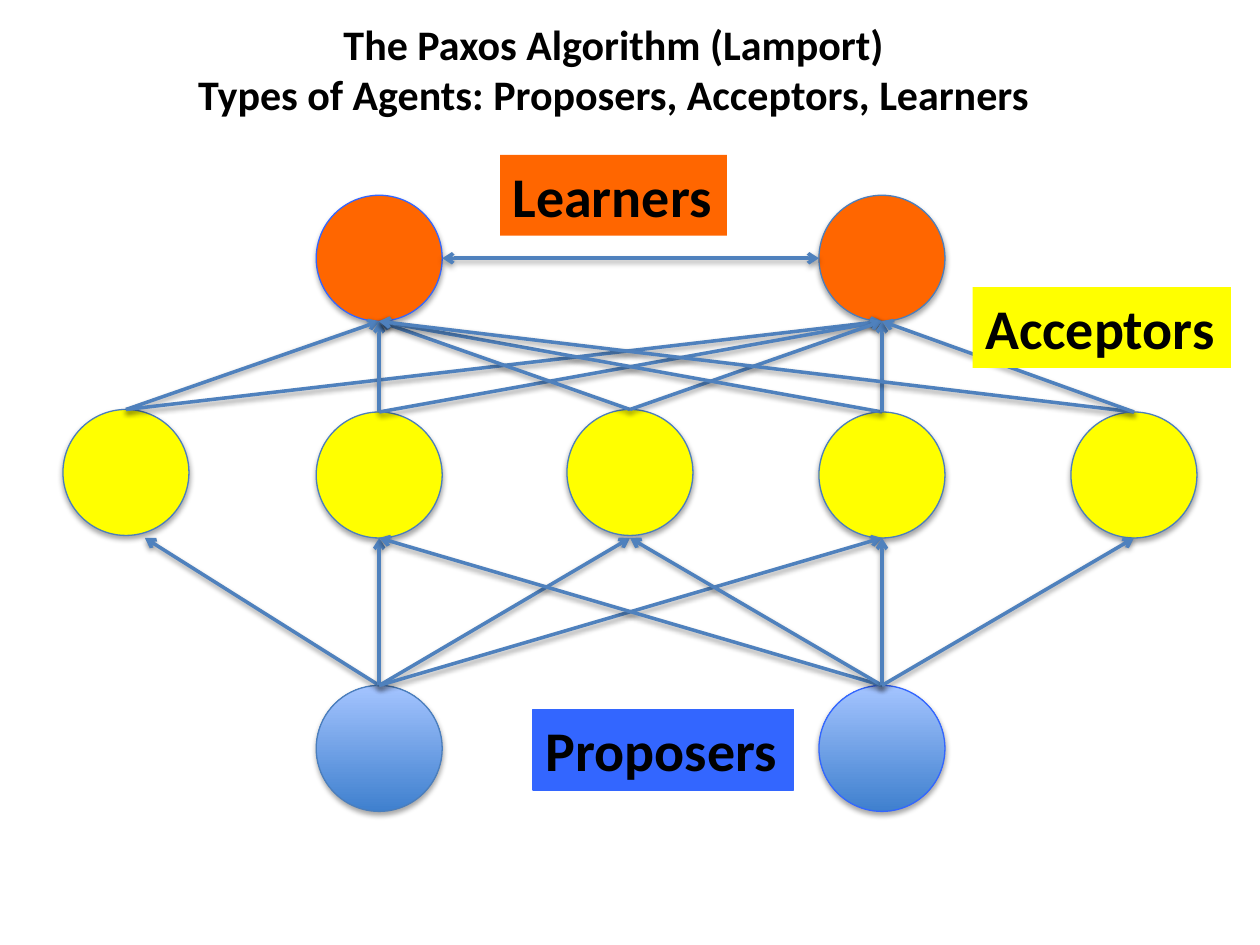
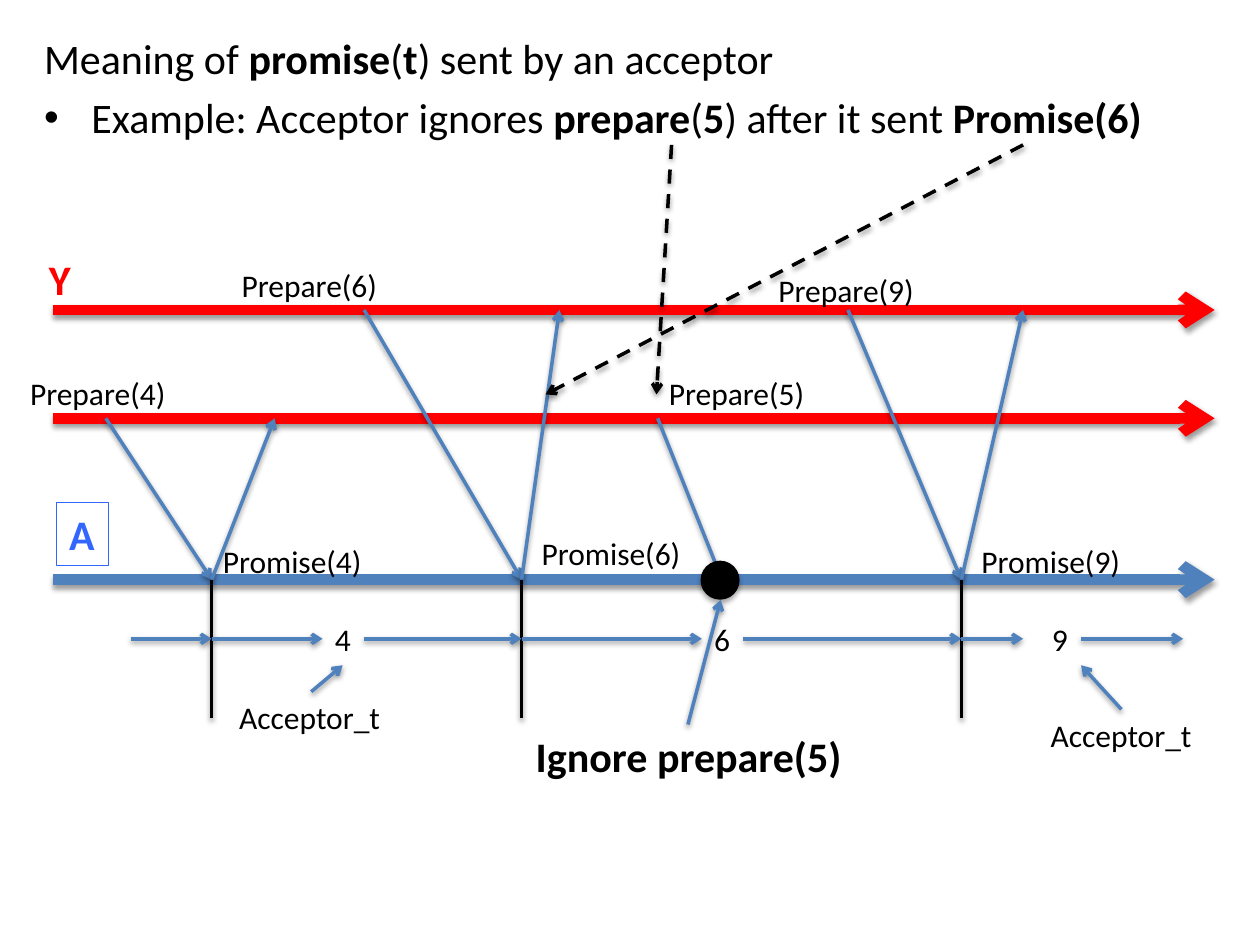
from lxml import etree
from pptx import Presentation
from pptx.dml.color import RGBColor
from pptx.enum.dml import MSO_LINE
from pptx.enum.shapes import MSO_CONNECTOR, MSO_SHAPE
from pptx.enum.text import MSO_ANCHOR, MSO_AUTO_SIZE, PP_ALIGN
from pptx.oxml.ns import qn
from pptx.util import Inches, Pt

DASH = MSO_LINE.DASH
STRAIGHT = MSO_CONNECTOR.STRAIGHT
OVAL = MSO_SHAPE.OVAL
MIDDLE = MSO_ANCHOR.MIDDLE
FIT, FIXED = MSO_AUTO_SIZE.SHAPE_TO_FIT_TEXT, MSO_AUTO_SIZE.NONE
CENTER, LEFT = PP_ALIGN.CENTER, PP_ALIGN.LEFT

FONT = "Calibri"
COLORS = {
    "black": "000000",
    "line": "4F81BD",
    "edge": "4B7EBC",
    "blue": "3366FF",
    "dark": "3F80CE",
    "light": "A4C4FF",
    "yellow": "FFFF00",
    "orange": "FF6600",
    "red": "FF0000",
}


def rgb(name):
    """Give the named colour."""
    return RGBColor.from_string(COLORS[name])


def box(x, y, w, h):
    """Turn inches into the four lengths of a frame."""
    return [Inches(v) for v in (x, y, w, h)]


def style(para, size, color="black", bold=False, align=LEFT):
    """Set the font and alignment of a paragraph."""
    font = para.font
    font.name, font.size, font.bold = FONT, Pt(size), bold
    font.color.rgb = rgb(color)
    para.alignment = align


def shade(effects, dist, alpha):
    """Put a soft shadow below into an effect list."""
    shadow = etree.SubElement(
        effects, qn("a:outerShdw"), blurRad=str(Pt(3.1)), dist=str(Pt(dist)),
        dir="5400000", rotWithShape="0")
    tint = etree.SubElement(shadow, qn("a:srgbClr"), val=COLORS["black"])
    etree.SubElement(tint, qn("a:alpha"), val=str(alpha * 1000))


def line(slide, start, end, color="line", width=2, head=False, tail=True,
         dash=False):
    """Draw a shadowed line, with arrowheads where wanted."""
    link = slide.shapes.add_connector(
        STRAIGHT, *[Inches(v) for v in (*start, *end)])
    link.line.color.rgb = rgb(color)
    link.line.width = Pt(width)
    if dash:
        link.line.dash_style = DASH
    props = link.line._get_or_add_ln()
    for tag, shown in (("a:headEnd", head), ("a:tailEnd", tail)):
        if shown:
            etree.SubElement(props, qn(tag), type="arrow")
    frame = link._element.spPr
    shade(etree.SubElement(frame, qn("a:effectLst")), 1.6, 38)


def disc(slide, x, y, size, fill, edge=None):
    """Draw a shadowed circle, graded if fill names two colours."""
    shape = slide.shapes.add_shape(OVAL, *box(x, y, size, size))
    if isinstance(fill, tuple):
        shape.fill.gradient()
        shape.fill.gradient_angle = 90
        for stop, name in zip(shape.fill.gradient_stops, fill):
            stop.color.rgb = rgb(name)
    else:
        shape.fill.solid()
        shape.fill.fore_color.rgb = rgb(fill)
    if edge:
        shape.line.color.rgb = rgb(edge)
        shape.line.width = Pt(0.75)
    else:
        shape.line.fill.background()
    shape.shadow.inherit = False
    shade(shape._element.spPr.find(qn("a:effectLst")), 1.8, 35)


def label(slide, text, frame, size=18, color="black", bold=False, fill=None,
          edge=None, align=LEFT):
    """Write a one-line label, on a filled or outlined box if asked."""
    shape = slide.shapes.add_textbox(*box(*frame))
    body = shape.text_frame
    body.word_wrap = align == CENTER
    body.auto_size = FIT
    body.text = text
    style(body.paragraphs[0], size, color, bold, align)
    if fill:
        shape.fill.solid()
        shape.fill.fore_color.rgb = rgb(fill)
    if edge:
        shape.line.color.rgb = rgb(edge)
        shape.line.width = Pt(0.75)


def place(holder, frame):
    """Move a placeholder and give back its text frame."""
    holder.left, holder.top, holder.width, holder.height = box(*frame)
    body = holder.text_frame
    body.auto_size = FIXED
    return body


def rich(para, parts):
    """Fill a paragraph with runs that are plain and bold by turns."""
    style(para, 24)
    for i, part in enumerate(parts):
        run = para.add_run()
        run.text = part
        run.font.bold = i % 2 == 1


def agents(deck):
    """Build the slide on the three types of agents."""
    slide = deck.slides.add_slide(deck.slide_layouts[5])
    body = place(slide.shapes.title, (0.12, 0.05, 9.5, 0.99))
    body.vertical_anchor = MIDDLE
    body.text = ("The Paxos Algorithm (Lamport)\v"
                 "Types of Agents: Proposers, Acceptors, Learners")
    style(body.paragraphs[0], 24, bold=True, align=CENTER)

    pair = (3.01, 7)
    mids = [(1, 3.25), (3.01, 3.27), (5, 3.25), (7, 3.27), (9, 3.27)]
    low, high = 5.44, 1.55
    for x, edge in zip(pair, ("edge", "blue")):
        disc(slide, x - 0.5, low, 1, ("dark", "light"), edge)
    for x, y in mids:
        disc(slide, x - 0.5, y, 1, "yellow", "edge")
    for x, edge in zip(pair, ("blue", "edge")):
        disc(slide, x - 0.5, high, 1, "orange", edge)

    ends = [(1.15, 4.27)] + [(x, 4.27) for x, _ in mids[1:]]
    for i, x in enumerate(pair):
        for end in ends[i:i + 4]:
            line(slide, (x, low), end)
    for mid in mids:
        for x in pair:
            line(slide, mid, (x, high + 1))
    line(slide, (pair[0] + 0.5, 2.05), (pair[1] - 0.5, 2.05), head=True)

    for text, x, y, w, fill, edge in (
            ("Proposers", 4.23, 5.63, 2.07, "blue", "blue"),
            ("Acceptors", 7.72, 2.28, 2.05, "yellow", None),
            ("Learners", 3.97, 1.23, 1.8, "orange", None)):
        label(slide, text, (x, y, w, 0.64), 32, bold=True, fill=fill,
              edge=edge)


def promise(deck):
    """Build the slide on the meaning of a promise."""
    slide = deck.slides.add_slide(deck.slide_layouts[1])
    title = slide.shapes.title._element
    title.getparent().remove(title)
    body = place(slide.placeholders[1], (0.25, 0.21, 9.5, 1.4))
    first = body.paragraphs[0]
    rich(first, ("Meaning of ", "promise", "(", "t", ") sent by an acceptor"))
    props = first._p.get_or_add_pPr()
    props.set("marL", "0")
    props.set("indent", "0")
    props.insert_element_before(
        props.makeelement(qn("a:buNone")), "a:tabLst", "a:defRPr", "a:extLst")
    rich(body.add_paragraph(),
         ("Example: Acceptor ignores ", "prepare", "(", "5",
          ") after it sent ", "Promise(6)"))

    top, mid, low, row = 2.46, 3.32, 4.6, 5.07
    for y, color in ((top, "red"), (mid, "red"), (low, "line")):
        line(slide, (0.42, y), (9.64, y), color, 6)

    # number, sender's line, x of send, receipt and reply, two label places
    for num, y, send, hit, back, ask, reply in (
            (4, mid, 0.84, 1.68, 2.18, (0.14, 2.92), (1.67, 4.25)),
            (6, top, 2.89, 4.14, 4.44, (1.82, 2.06), (4.2, 4.19)),
            (9, top, 6.73, 7.63, 8.12, (6.08, 2.1), (7.69, 4.25))):
        line(slide, (send, y), (hit, low))
        line(slide, (hit, low), (back, y))
        line(slide, (hit, low), (hit, 5.7), "black", tail=False)
        label(slide, f"Prepare({num})", (*ask, 1.3, 0.4))
        label(slide, f"Promise({num})", (*reply, 1.32, 0.4))

    for x, end in ((1.04, 1.68), (1.68, 2.56), (2.89, 4.14), (4.14, 5.57),
                   (5.9, 7.63), (7.63, 8.12), (8.58, 9.39)):
        line(slide, (x, row), (end, row))
    for text, x in (("4", 2.56), ("6", 5.57), ("9", 8.25)):
        label(slide, text, (x, 4.87, 0.33, 0.4))

    line(slide, (5.22, mid), (5.73, low))
    label(slide, "Prepare(5)", (5.21, 2.92, 1.3, 0.4))
    disc(slide, 5.56, 4.45, 0.31, "black")
    label(slide, "Ignore prepare(5)", (3.77, 5.75, 3.39, 0.5), 24, bold=True,
          align=CENTER)
    line(slide, (5.46, 5.75), (5.72, 4.76))

    for x, y, start, end in ((1.8, 5.49, 2.47, 2.72), (8.24, 5.63, 8.9, 8.58)):
        label(slide, "Acceptor_t", (x, y, 1.34, 0.4))
        line(slide, (start, y), (end, 5.28))
    for start, end in ((5.33, 5.21), (8.12, 4.33)):
        line(slide, (start, 1.15), (end, 3.13), "black", dash=True)

    label(slide, "Y", (0.29, 1.96, 0.38, 0.5), 24, "red", True)
    label(slide, "A", (0.45, 3.99, 0.41, 0.5), 24, "blue", True, edge="blue")


def main():
    """Build and save the deck."""
    deck = Presentation()
    deck.slide_width, deck.slide_height = Inches(10), Inches(7.5)
    agents(deck)
    promise(deck)
    deck.save("out.pptx")


main()
